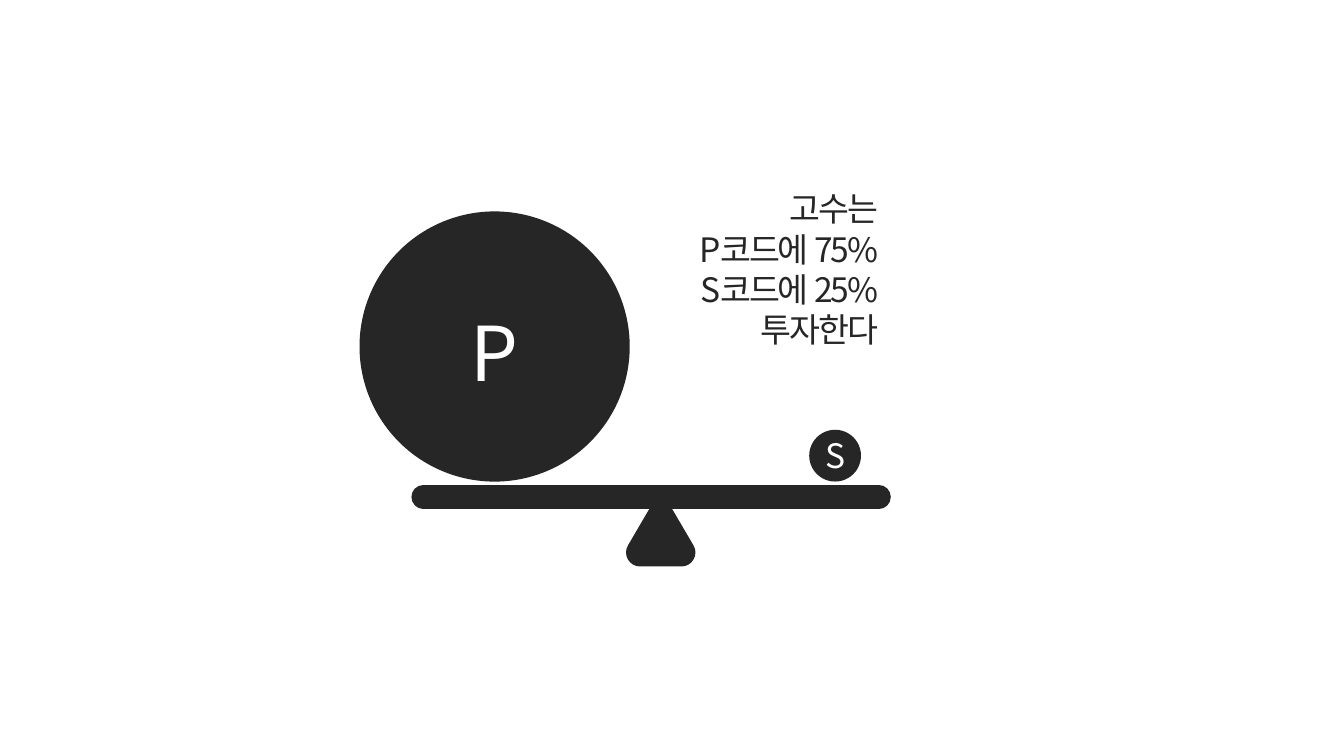
from lxml import etree
from pptx import Presentation
from pptx.dml.color import RGBColor
from pptx.enum.shapes import MSO_CONNECTOR, MSO_SHAPE
from pptx.enum.text import MSO_AUTO_SIZE, PP_ALIGN
from pptx.oxml.ns import qn
from pptx.util import Pt

INK = RGBColor(0x26, 0x26, 0x26)
WHITE = RGBColor(0xFF, 0xFF, 0xFF)
FONT = "Noto Sans CJK KR"
STRAIGHT = MSO_CONNECTOR.STRAIGHT
ELLIPSE, TRIANGLE = MSO_SHAPE.OVAL, MSO_SHAPE.ISOSCELES_TRIANGLE
RIGHT, CENTER = PP_ALIGN.RIGHT, PP_ALIGN.CENTER
FIT_SHAPE = MSO_AUTO_SIZE.SHAPE_TO_FIT_TEXT
BALL_BASE = 344


def add_text(slide, left, top, width, height, lines, size, color, align):
    """Add a tightly tracked text box with one paragraph per line."""
    box = slide.shapes.add_textbox(Pt(left), Pt(top), Pt(width), Pt(height))
    frame = box.text_frame
    frame.word_wrap = True
    frame.auto_size = FIT_SHAPE
    frame.text = "\n".join(lines)
    for paragraph in frame.paragraphs:
        paragraph.alignment = align
        paragraph.font.size = Pt(size)
        paragraph.font.name = FONT
        paragraph.font.color.rgb = color
        for run in paragraph.runs:
            properties = run._r.get_or_add_rPr()
            properties.set("spc", "-150")
            etree.SubElement(properties, qn("a:ea")).set("typeface", FONT)


def add_solid(slide, kind, left, top, width, height):
    """Add a dark shape without outline or shadow."""
    solid = slide.shapes.add_shape(kind, Pt(left), Pt(top), Pt(width), Pt(height))
    solid.shadow.inherit = False
    solid.fill.solid()
    solid.fill.fore_color.rgb = INK
    solid.line.fill.background()
    return solid


def add_ball(slide, center, diameter):
    """Add a ball that rests just above the beam."""
    add_solid(slide, ELLIPSE, center - diameter / 2, BALL_BASE - diameter,
              diameter, diameter)


def round_line(line, width):
    """Draw a thick dark line with round caps and joins."""
    line.color.rgb = INK
    line.width = Pt(width)
    outline = line._get_or_add_ln()
    outline.set("cap", "rnd")
    etree.SubElement(outline, qn("a:round"))


def add_beam(slide, left, right, y):
    """Add the beam of the seesaw."""
    beam = slide.shapes.add_connector(STRAIGHT, Pt(left), Pt(y), Pt(right), Pt(y))
    round_line(beam.line, 17)
    etree.SubElement(beam._element.spPr, qn("a:effectLst"))


def add_pivot(slide, left, top, width, height):
    """Add the rounded triangle under the beam."""
    pivot = add_solid(slide, TRIANGLE, left, top, width, height)
    round_line(pivot.line, 20)


def main():
    """Build the seesaw slide."""
    deck = Presentation()
    deck.slide_width, deck.slide_height = Pt(960), Pt(540)
    slide = deck.slides.add_slide(deck.slide_layouts[6])
    advice = ["고수는", "P코드에 75%", "S코드에 25%", "투자한다"]
    add_text(slide, 279.4, 131, 355, 124, advice, 24, INK, RIGHT)
    add_beam(slide, 302.4, 627.8, 355)
    add_ball(slide, 596.5, 37)
    add_ball(slide, 353.3, 193)
    add_text(slide, 567.4, 307.4, 58.3, 36, ["S"], 24, WHITE, CENTER)
    add_text(slide, 324, 215.3, 58.3, 72.7, ["P"], 54, WHITE, CENTER)
    add_pivot(slide, 457.2, 369.4, 29.5, 25.2)
    deck.save("out.pptx")


if __name__ == "__main__":
    main()
